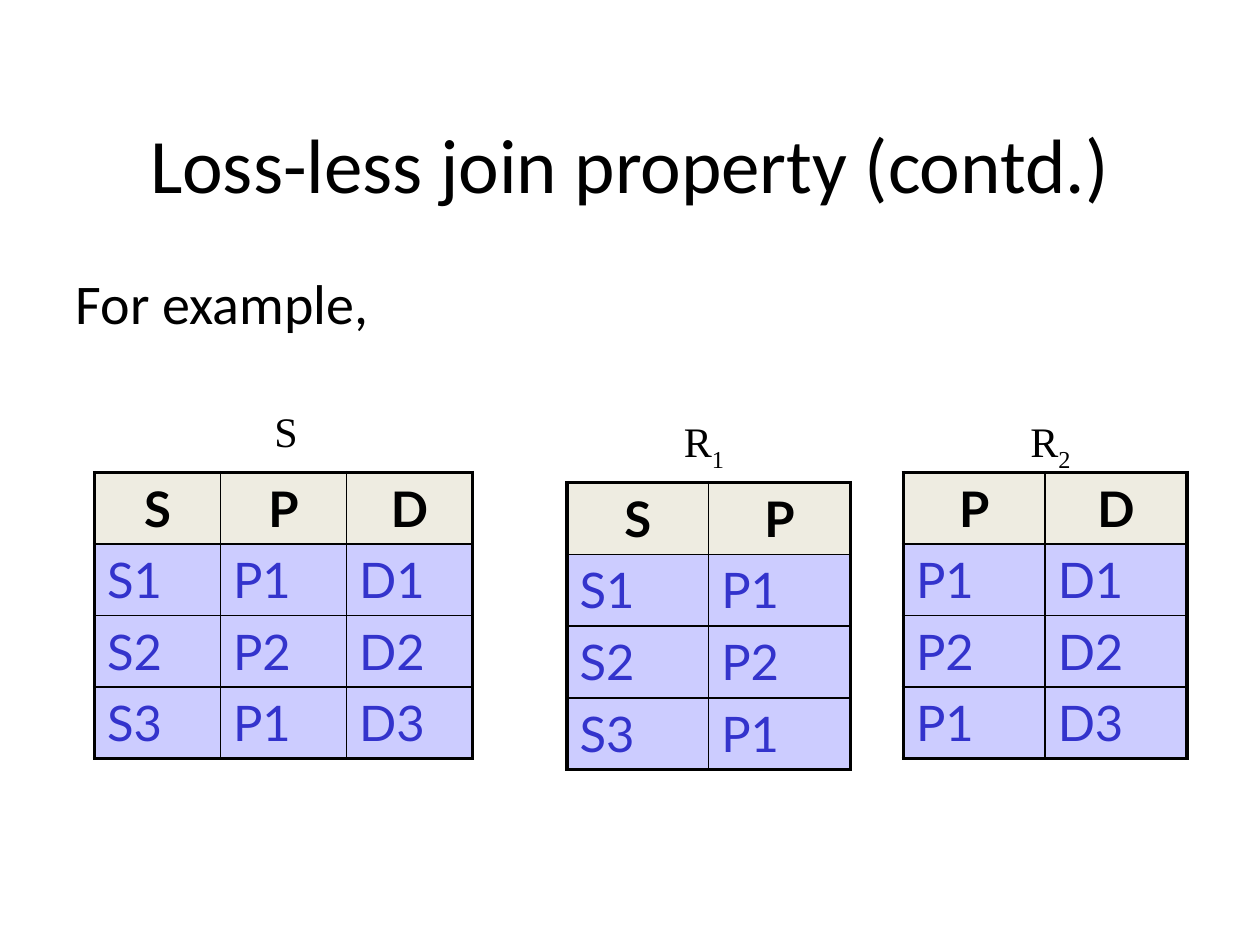
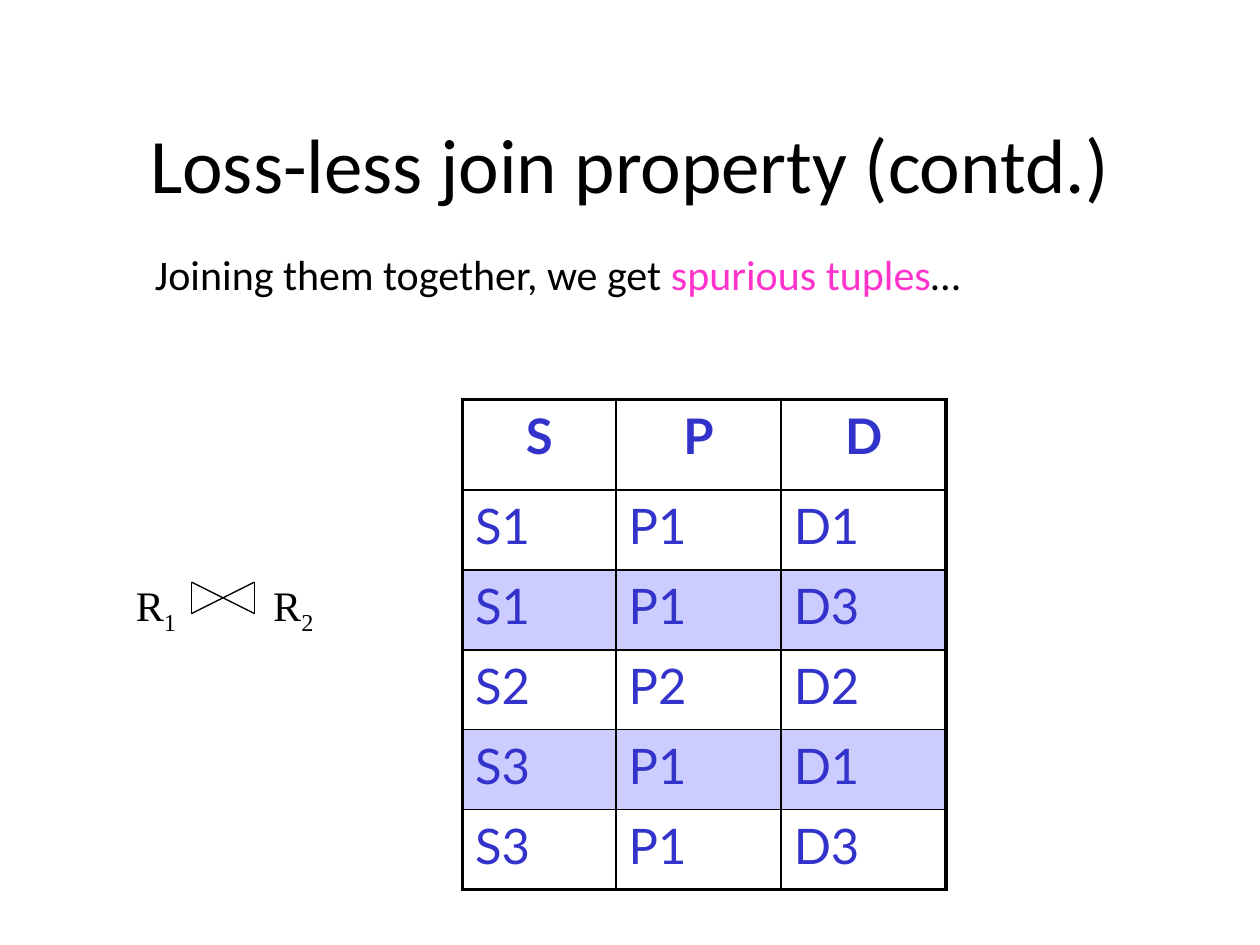
"""Builds two slides on the loss-less join property."""
from itertools import pairwise

from lxml import etree
from pptx import Presentation
from pptx.dml.color import RGBColor
from pptx.enum.shapes import MSO_CONNECTOR
from pptx.enum.text import MSO_ANCHOR, PP_ALIGN
from pptx.oxml.ns import qn
from pptx.util import Inches, Pt

STRAIGHT = MSO_CONNECTOR.STRAIGHT
MIDDLE = MSO_ANCHOR.MIDDLE
LEFT, CENTER = PP_ALIGN.LEFT, PP_ALIGN.CENTER

BLACK = RGBColor(0x00, 0x00, 0x00)
BLUE = RGBColor(0x33, 0x33, 0xCC)
LILAC = RGBColor(0xCC, 0xCC, 0xFF)
CREAM = RGBColor(0xEE, 0xEC, 0xE1)
PINK = RGBColor(0xFF, 0x33, 0xCC)

HEADING_FONT, TABLE_FONT, LABEL_FONT = "Calibri", "Lato", "Times New Roman"
TITLE = "Loss-less join property (contd.)"
TITLE_BOX = (0.5, 0.67, 9, 1.25)
HANG = 0.38
THICK, THIN = 2.25, 1

EXAMPLE = {
    "box": (0.5, 2.08, 9, 4.62), "size": 32, "first_line": -HANG,
    "runs": [("For example,", BLACK)],
}
SPURIOUS = {
    "box": (0.75, 1.92, 8.5, 4.67), "size": 24, "first_line": 0,
    "runs": [("Joining them together, we get ", BLACK),
             ("spurious tuples", PINK), ("…", BLACK)],
}

RELATIONS = [
    {"box": (0.75, 3.75, 3, 2.27), "label": [("S", False)],
     "label_box": (2.08, 3.17, 0.39, 0.5),
     "rows": ["S P D", "S1 P1 D1", "S2 P2 D2", "S3 P1 D3"]},
    {"box": (4.5, 3.83, 2.25, 2.28), "label": [("R", False), ("1", True)],
     "label_box": (5.33, 3.25, 0.53, 0.5),
     "rows": ["S P", "S1 P1", "S2 P2", "S3 P1"]},
    {"box": (7.17, 3.75, 2.25, 2.27), "label": [("R", False), ("2", True)],
     "label_box": (8.08, 3.25, 0.53, 0.5),
     "rows": ["P D", "P1 D1", "P2 D2", "P1 D3"]},
]

JOINED_ROWS = ["S P D", "S1 P1 D1", "S1 P1 D3", "S2 P2 D2", "S3 P1 D1", "S3 P1 D3"]
JOINED_BOX = (3.67, 3.17, 3.83, 3.89)
JOINED_COLS = [1.22, 1.31, 1.31]
JOINED_HEADER = 0.72
SPURIOUS_ROWS = (2, 4)

JOIN_LABEL = [("R", False), ("1", True), ("\tR", False), ("2", True)]
JOIN_BOX = (0.98, 4.55, 1.62, 0.5)
JOIN_TAB = 1.09
BOWTIE = [(1.52, 4.87), (1.52, 4.62), (2.02, 4.87), (2.02, 4.62), (1.52, 4.87)]


def style(r, font, size, color, bold=False):
    r.font.name, r.font.size, r.font.bold = font, Pt(size), bold
    r.font.color.rgb = color


def place(sp, box):
    sp.left, sp.top, sp.width, sp.height = map(Inches, box)


def add_slide(prs, body):
    s = prs.slides.add_slide(prs.slide_layouts[1])
    title, sp = s.placeholders
    place(title, TITLE_BOX)
    title.text_frame.text = TITLE
    title.text_frame.vertical_anchor = MIDDLE
    p = title.text_frame.paragraphs[0]
    p.alignment = CENTER
    style(p.runs[0], HEADING_FONT, 44, BLACK)

    place(sp, body["box"])
    p = sp.text_frame.paragraphs[0]
    p.space_before = Pt(0)
    pPr = p._p.get_or_add_pPr()
    pPr.set("marL", str(Inches(HANG)))
    pPr.set("indent", str(Inches(body["first_line"])))
    etree.SubElement(pPr, qn("a:buNone"))
    for text, color in body["runs"]:
        r = p.add_run()
        r.text = text
        style(r, HEADING_FONT, body["size"], color)
    return s


def add_label(shapes, box, runs, tab=None):
    sp = shapes.add_textbox(*map(Inches, box))
    tf = sp.text_frame
    tf.word_wrap = False
    p = tf.paragraphs[0]
    if tab:
        tabs = etree.SubElement(p._p.get_or_add_pPr(), qn("a:tabLst"))
        etree.SubElement(tabs, qn("a:tab"), pos=str(Inches(tab)), algn="l")
    for text, subscript in runs:
        r = p.add_run()
        r.text = text
        style(r, LABEL_FONT, 24, BLACK)
        if subscript:
            r._r.get_or_add_rPr().set("baseline", "-25000")


def set_borders(cell, outer):
    tcPr = cell._tc.get_or_add_tcPr()
    for side, is_outer in outer.items():
        width = Pt(THICK if is_outer else THIN)
        ln = etree.SubElement(tcPr, qn(f"a:ln{side}"), w=str(width))
        fill = etree.SubElement(ln, qn("a:solidFill"))
        etree.SubElement(fill, qn("a:srgbClr"), val=str(BLACK))


def add_relation(s, box, lines, widths, heights, fills, header_color):
    rows = [line.split() for line in lines]
    last_row, last_col = len(rows) - 1, len(rows[0]) - 1
    table = s.shapes.add_table(len(rows), len(rows[0]), *map(Inches, box)).table
    table.first_row = table.horz_banding = False
    for col, width in zip(table.columns, widths):
        col.width = Inches(width)
    for row, height in zip(table.rows, heights):
        row.height = Inches(height)
    for i, row in enumerate(rows):
        for j, text in enumerate(row):
            cell = table.cell(i, j)
            cell.text_frame.text = text
            p = cell.text_frame.paragraphs[0]
            p.alignment = LEFT if i else CENTER
            style(p.runs[0], TABLE_FONT, 28, BLUE if i else header_color, i == 0)
            set_borders(cell, {"L": j == 0, "R": j == last_col,
                               "T": i == 0, "B": i == last_row})
            if fills[i] is None:
                cell.fill.background()
            else:
                cell.fill.solid()
                cell.fill.fore_color.rgb = fills[i]


def add_line(shapes, start, end):
    line = shapes.add_connector(STRAIGHT, *map(Inches, start + end))
    line.line.color.rgb = BLACK
    line.line.width = Pt(0.75)
    etree.SubElement(line._element.spPr, qn("a:effectLst"))


def example_slide(prs):
    s = add_slide(prs, EXAMPLE)
    for rel in RELATIONS:
        n_rows, n_cols = len(rel["rows"]), len(rel["rows"][0].split())
        width, height = rel["box"][2:]
        add_relation(s, rel["box"], rel["rows"], [width / n_cols] * n_cols,
                     [height / n_rows] * n_rows,
                     [CREAM] + [LILAC] * (n_rows - 1), BLACK)
    for rel in RELATIONS:
        add_label(s.shapes, rel["label_box"], rel["label"])


def joined_slide(prs):
    s = add_slide(prs, SPURIOUS)
    n_rows = len(JOINED_ROWS)
    row_height = (JOINED_BOX[3] - JOINED_HEADER) / (n_rows - 1)
    fills = [LILAC if i in SPURIOUS_ROWS else None for i in range(n_rows)]
    add_relation(s, JOINED_BOX, JOINED_ROWS, JOINED_COLS,
                 [JOINED_HEADER] + [row_height] * (n_rows - 1), fills, BLUE)
    group = s.shapes.add_group_shape()
    add_label(group.shapes, JOIN_BOX, JOIN_LABEL, JOIN_TAB)
    for start, end in pairwise(BOWTIE):
        add_line(group.shapes, start, end)


def main():
    prs = Presentation()
    prs.slide_width, prs.slide_height = Inches(10), Inches(7.5)
    example_slide(prs)
    joined_slide(prs)
    prs.save("out.pptx")


if __name__ == "__main__":
    main()
